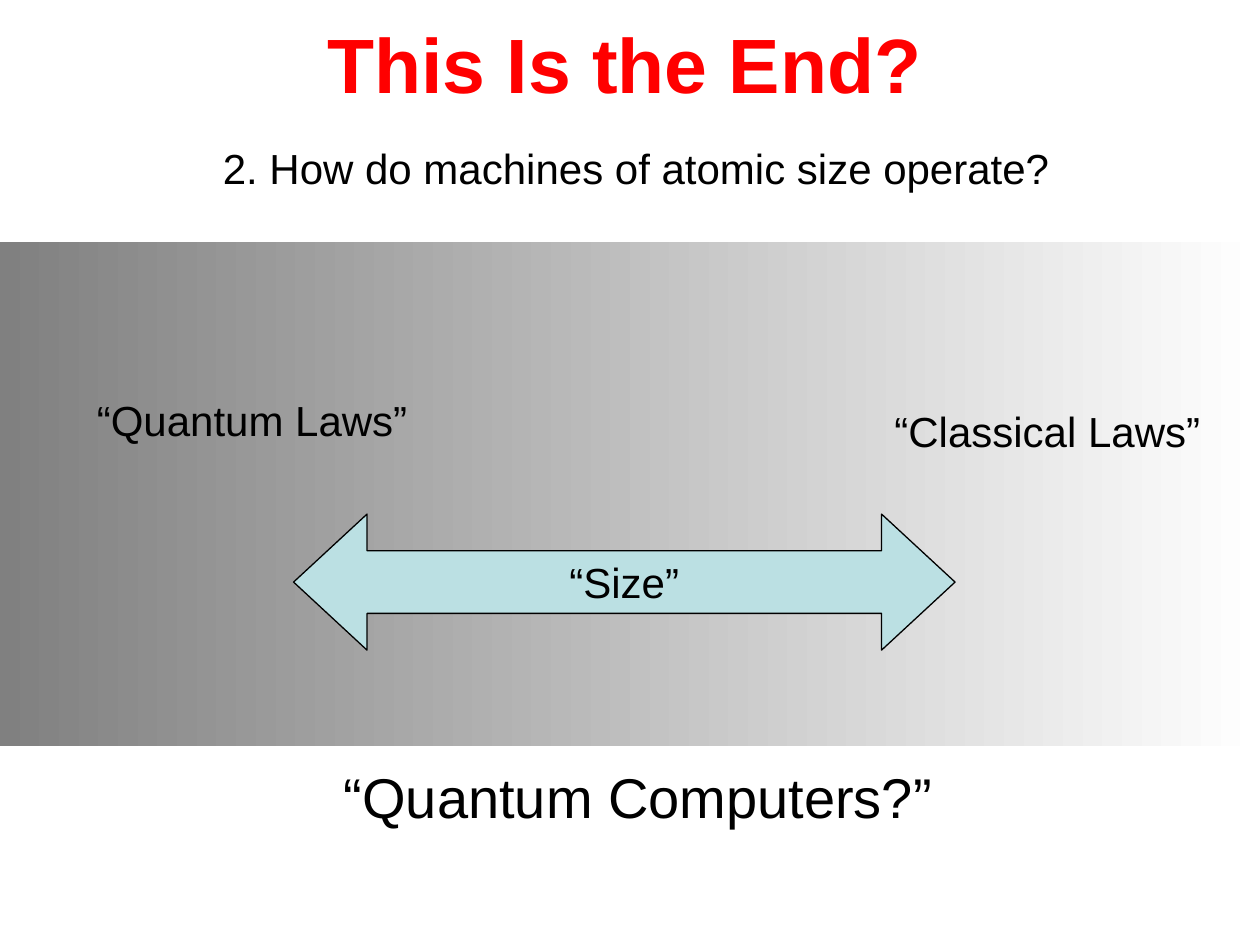
"""Build the slide on atomic-size machines and quantum laws."""
from dataclasses import dataclass

from pptx import Presentation
from pptx.dml.color import RGBColor
from pptx.enum.shapes import MSO_SHAPE
from pptx.enum.text import MSO_ANCHOR, MSO_AUTO_SIZE, PP_ALIGN
from pptx.util import Inches, Pt


@dataclass(frozen=True)
class Theme:
    font: str = "Arial"
    red: str = "FF0000"
    black: str = "000000"
    white: str = "FFFFFF"
    gray: str = "808080"
    aqua: str = "BBE0E3"
    head: int = 44
    big: int = 32
    body: int = 24
    line: float = 0.75


THEME = Theme()


def color(code):
    return RGBColor.from_string(code)


def write(frame, text, size=THEME.body, ink=THEME.black, bold=False,
          align=PP_ALIGN.LEFT, wrap=False):
    frame.word_wrap = wrap
    para = frame.paragraphs[0]
    para.alignment = align
    run = para.add_run()
    run.text = text
    font = run.font
    font.name, font.size, font.bold = THEME.font, Pt(size), bold
    font.color.rgb = color(ink)


def label(slide, box, text, **style):
    shape = slide.shapes.add_textbox(*map(Inches, box))
    shape.text_frame.auto_size = MSO_AUTO_SIZE.SHAPE_TO_FIT_TEXT
    write(shape.text_frame, text, **style)


def block(slide, kind, box):
    shape = slide.shapes.add_shape(kind, *map(Inches, box))
    shape.shadow.inherit = False
    return shape


def band(slide, box):
    shape = block(slide, MSO_SHAPE.RECTANGLE, box)
    shape.line.fill.background()
    shape.fill.gradient()
    shape.fill.gradient_angle = 180
    for stop, code in zip(shape.fill.gradient_stops, (THEME.white, THEME.gray)):
        stop.color.rgb = color(code)


def arrow(slide, box, text):
    shape = block(slide, MSO_SHAPE.LEFT_RIGHT_ARROW, box)
    shape.adjustments[0] = 0.46
    shape.adjustments[1] = 0.54
    shape.fill.solid()
    shape.fill.fore_color.rgb = color(THEME.aqua)
    shape.line.color.rgb = color(THEME.black)
    shape.line.width = Pt(THEME.line)
    shape.text_frame.vertical_anchor = MSO_ANCHOR.MIDDLE
    write(shape.text_frame, text, align=PP_ALIGN.CENTER)


def main():
    deck = Presentation()
    deck.slide_width, deck.slide_height = Inches(10), Inches(7.5)
    slide = deck.slides.add_slide(deck.slide_layouts[6])
    label(slide, (2.5, 0.08, 4.94, 0.84), "This Is the End?",
          size=THEME.head, ink=THEME.red, bold=True)
    label(slide, (1.67, 1.08, 6.85, 0.5),
          "2. How do machines of atomic size operate?")
    band(slide, (0, 1.92, 10, 4))
    label(slide, (7, 3.17, 2.75, 0.5), "“Classical Laws”", wrap=True)
    label(slide, (0.67, 3.08, 2.75, 0.5), "“Quantum Laws”", wrap=True)
    arrow(slide, (2.33, 4.08, 5.25, 1.08), "“Size”")
    label(slide, (2.62, 6, 4.89, 0.64), "“Quantum Computers?”",
          size=THEME.big, align=PP_ALIGN.CENTER)
    deck.save("out.pptx")


if __name__ == "__main__":
    main()
